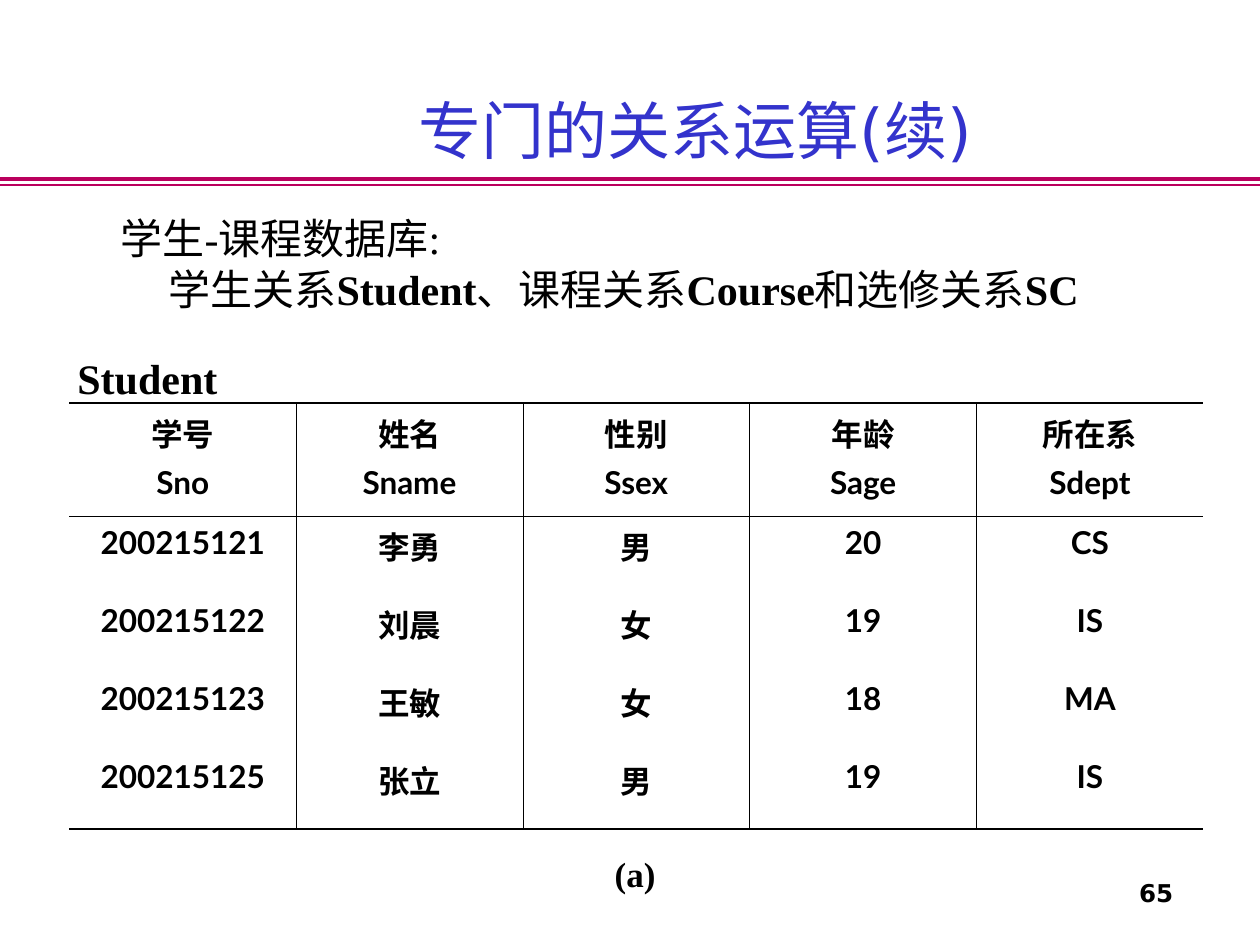
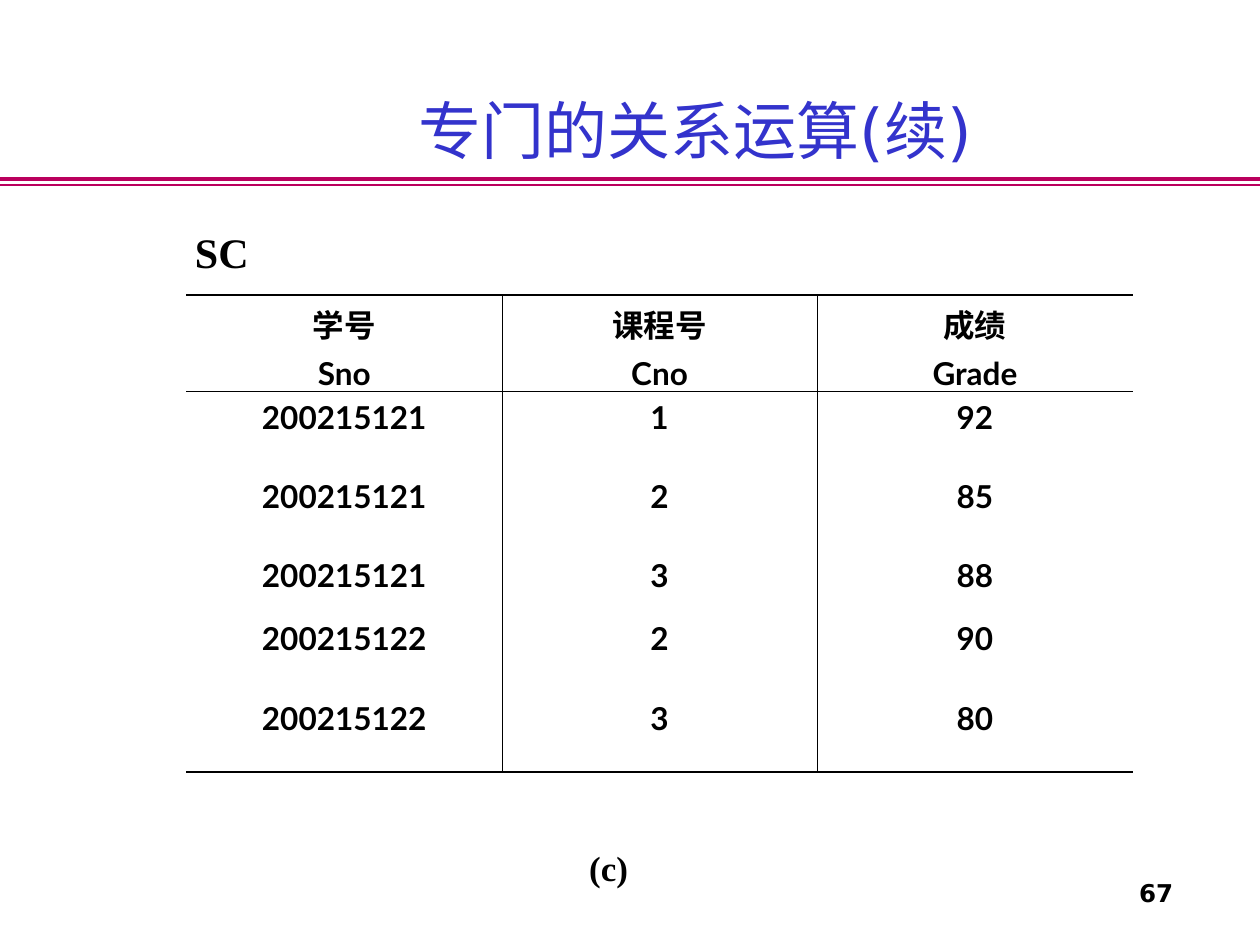
import pptx
import pptx.util
import pptx.dml.color
import pptx.enum.shapes
import pptx.enum.text
import pptx.oxml.ns
from lxml import etree

RGBColor = pptx.dml.color.RGBColor
Inches, Pt = pptx.util.Inches, pptx.util.Pt
ALIGN, ANCHOR = pptx.enum.text.PP_ALIGN, pptx.enum.text.MSO_ANCHOR
qn = pptx.oxml.ns.qn

# Content: a paragraph is a list of (text, bold) runs
TITLE = "专门的关系运算(续)"
INTRO = [
    [("学生-课程数据库:", False)],
    [("学生关系", False), ("Student", True), ("、课程关系", False),
     ("Course", True), ("和选修关系", False), ("SC", True)],
]
SLIDES = [
    dict(number="65", intro=INTRO,
         name="Student", name_box=(0.42, 2.66, 1.5, 0.67),
         caption="(a)", caption_box=(1.25, 6.72, 7.58, 0.44),
         table_box=(0.55, 3.2, 9), row_heights=[0.9] + [0.62] * 4,
         header=[("学号", "Sno"), ("姓名", "Sname"), ("性别", "Ssex"),
                 ("年龄", "Sage"), ("所在系", "Sdept")],
         rows=[("200215121", "李勇", "男", "20", "CS"),
               ("200215122", "刘晨", "女", "19", "IS"),
               ("200215123", "王敏", "女", "18", "MA"),
               ("200215125", "张立", "男", "19", "IS")]),
    dict(number="67", intro=None,
         name="SC", name_box=(1.17, 1.72, 1.18, 0.55),
         caption="(c)", caption_box=(4.37, 6.67, 0.92, 0.77),
         table_box=(1.48, 2.34, 7.51),
         row_heights=[0.77, 0.63, 0.63, 0.5, 0.63, 0.63],
         header=[("学号", "Sno"), ("课程号", "Cno"), ("成绩", "Grade")],
         rows=[("200215121", "1", "92"),
               ("200215121", "2", "85"),
               ("200215121", "3", "88"),
               ("200215122", "2", "90"),
               ("200215122", "3", "80")]),
]

# Shared style
WIDTH, HEIGHT = 10, 7.5
BLUE = RGBColor(0x33, 0x33, 0xCC)
CRIMSON = RGBColor(0xBA, 0x00, 0x5D)
BLACK = RGBColor(0, 0, 0)
SANS, SERIF, TABLE_FONT = "DejaVu Sans", "Times New Roman", "Lato"
RULES = [(1.42, 2.25), (1.47, 1)]  # height on the slide, line width
THIN, THICK = 0.45, 1.08
INDENT = 0.38
NO_STYLE = "{2D5ABB26-0587-4C30-8999-92F81FD0307C}"


def add_run(p, text, font, size, bold=False, color=BLACK):
    r = p.add_run()
    r.text = text
    r.font.name, r.font.size, r.font.bold = font, Pt(size), bold
    r.font.color.rgb = color


def add_text(s, box, paragraphs, font, size, color=BLACK,
             align=ALIGN.CENTER, anchor=ANCHOR.TOP):
    tf = s.shapes.add_textbox(*map(Inches, box)).text_frame
    tf.word_wrap, tf.vertical_anchor = True, anchor
    for i, runs in enumerate(paragraphs):
        p = tf.add_paragraph() if i else tf.paragraphs[0]
        p.alignment = align
        for text, bold in runs:
            add_run(p, text, font, size, bold, color)
    return tf


def add_frame(s, number):
    """Double rule, title and page number of every slide."""
    for y, width in RULES:
        line = s.shapes.add_connector(
            pptx.enum.shapes.MSO_CONNECTOR.STRAIGHT,
            0, Inches(y), Inches(WIDTH), Inches(y))
        line.line.color.rgb, line.line.width = CRIMSON, Pt(width)
        etree.SubElement(line._element.spPr, qn("a:effectLst"))
    add_text(s, (8.83, 6.92, 0.58, 0.33), [[(number, True)]], SANS, 14,
             align=ALIGN.RIGHT, anchor=ANCHOR.MIDDLE)
    add_text(s, (1.26, 0.23, 8.52, 1.6), [[(TITLE, False)]], SANS, 36, BLUE,
             anchor=ANCHOR.MIDDLE)


def set_borders(cell, **widths):
    """Draw the edges L, R, T, B; a width of 0 leaves an edge open."""
    tcPr = cell._tc.get_or_add_tcPr()
    for edge in "LRTB":
        width = widths[edge]
        ln = etree.SubElement(tcPr, qn("a:ln" + edge), w=str(Pt(width)))
        if width:
            fill = etree.SubElement(ln, qn("a:solidFill"))
            etree.SubElement(fill, qn("a:srgbClr"), val=str(BLACK))
        else:
            etree.SubElement(ln, qn("a:noFill"))


def add_relation(s, box, heights, header, rows):
    left, top, width = box
    grid = [header] + [[(text,) for text in row] for row in rows]
    last_row, last_col = len(grid) - 1, len(header) - 1
    frame = s.shapes.add_table(len(grid), len(header), Inches(left), Inches(top),
                               Inches(width), Inches(sum(heights)))
    table = frame.table
    table.first_row = table.horz_banding = False
    table._tbl.tblPr.find(qn("a:tableStyleId")).text = NO_STYLE
    for col in table.columns:
        col.width = Inches(width / len(header))
    for y, row in enumerate(grid):
        table.rows[y].height = Inches(heights[y])
        for x, lines in enumerate(row):
            cell = table.cell(y, x)
            # Rules above and below the header and under the last row
            set_borders(cell,
                        L=THIN if x > 0 else 0,
                        R=THIN if x < last_col else 0,
                        T={0: THICK, 1: THIN}.get(y, 0),
                        B={0: THIN, last_row: THICK}.get(y, 0))
            cell.fill.background()
            tf = cell.text_frame
            for i, text in enumerate(lines):
                p = tf.add_paragraph() if i else tf.paragraphs[0]
                p.alignment = ALIGN.CENTER
                if i:
                    p.space_before = Pt(4.5)
                add_run(p, text, TABLE_FONT, 18, True)


def main():
    prs = pptx.Presentation()
    prs.slide_width, prs.slide_height = Inches(WIDTH), Inches(HEIGHT)
    for d in SLIDES:
        s = prs.slides.add_slide(prs.slide_layouts[6])
        add_frame(s, d["number"])
        add_text(s, d["caption_box"], [[(d["caption"], True)]], SERIF, 20)
        add_text(s, d["name_box"], [[(d["name"], True)]], SERIF, 24,
                 anchor=ANCHOR.MIDDLE)
        if d["intro"]:
            tf = add_text(s, (0.86, 1.64, 8.19, 1.3), d["intro"], SERIF, 24,
                          align=ALIGN.LEFT)
            # The second paragraph is indented as a block
            tf.paragraphs[1]._p.get_or_add_pPr().set("marL", str(Inches(INDENT)))
        add_relation(s, d["table_box"], d["row_heights"], d["header"], d["rows"])
    prs.save("out.pptx")


if __name__ == "__main__":
    main()
